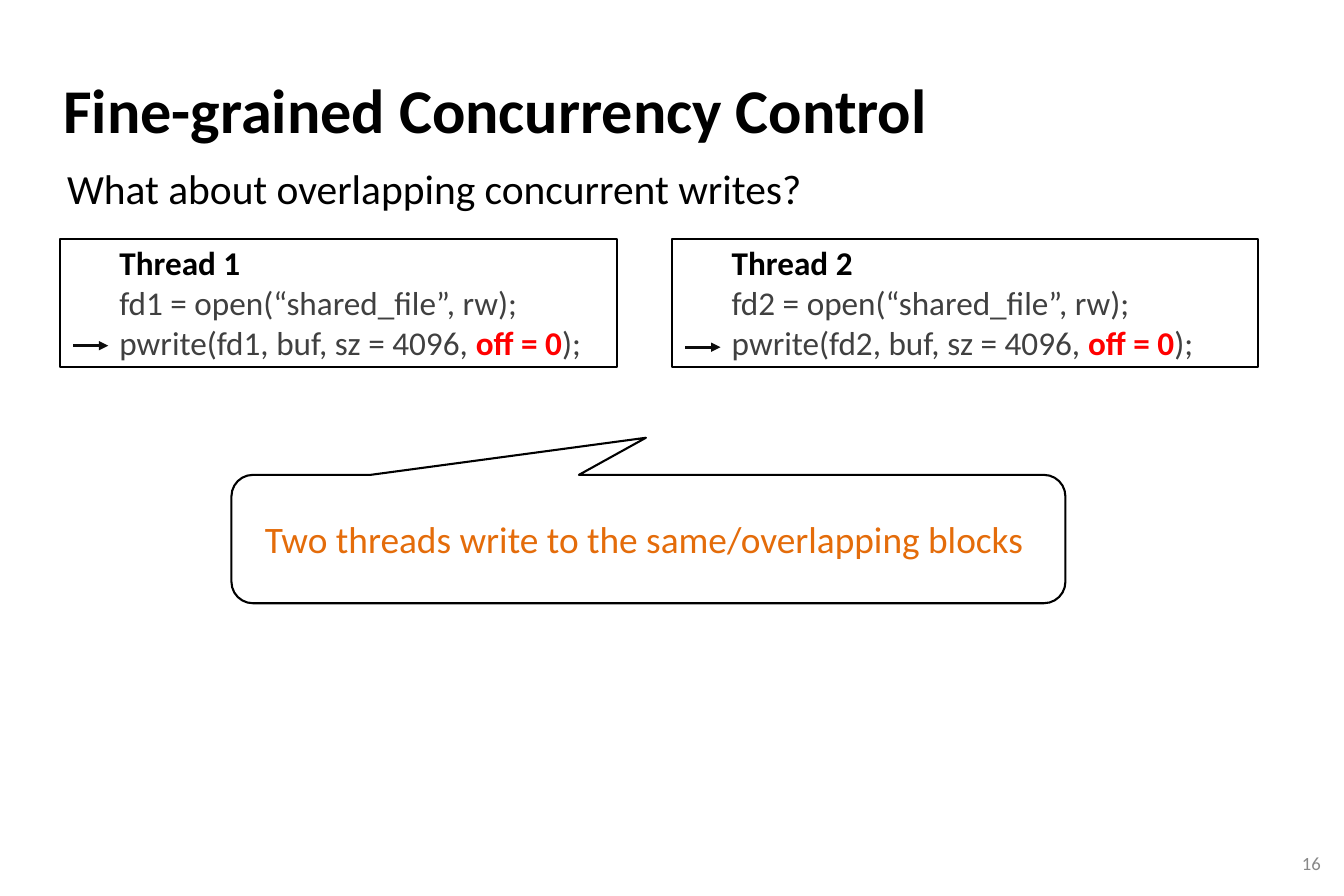
"""Build the slide on concurrency control for overlapping writes."""
from pptx import Presentation
from pptx.dml.color import RGBColor
from pptx.enum.shapes import MSO_CONNECTOR, MSO_SHAPE
from pptx.enum.text import MSO_ANCHOR, MSO_AUTO_SIZE, PP_ALIGN
from pptx.oxml.ns import qn
from pptx.util import Pt
from lxml import etree


def write(paragraph, pieces, size, alignment=PP_ALIGN.LEFT):
    paragraph.alignment = alignment
    for text, color, bold in pieces:
        run = paragraph.add_run()
        run.text = text
        run.font.name = "Calibri"
        run.font.size = Pt(size)
        run.font.bold = bold
        run.font.color.rgb = RGBColor.from_string(color)


def prepare(shape, anchor, left, top, right, bottom):
    frame = shape.text_frame
    frame.word_wrap = True
    frame.auto_size = MSO_AUTO_SIZE.NONE
    frame.vertical_anchor = anchor
    frame.margin_left, frame.margin_top = Pt(left), Pt(top)
    frame.margin_right, frame.margin_bottom = Pt(right), Pt(bottom)
    return frame


BLACK, GRAY, RED = "000000", "404040", "FF0000"

presentation = Presentation()
presentation.slide_width = Pt(1296)
presentation.slide_height = Pt(864)
slide = presentation.slides.add_slide(presentation.slide_layouts[5])

title = slide.shapes.title
title.left, title.top, title.width, title.height = Pt(57.6), Pt(35.3), Pt(1136.9), Pt(90.7)
frame = prepare(title, MSO_ANCHOR.TOP, 3.6, 3.6, 3.6, 3.6)
frame.paragraphs[0].line_spacing = 1.41
write(frame.paragraphs[0], [("Fine-grained Concurrency Control", BLACK, True)], 60)

page_number = slide.shapes.add_textbox(Pt(1247), Pt(817.2), Pt(31), Pt(30.2))
frame = prepare(page_number, MSO_ANCHOR.MIDDLE, 4.3, 4.3, 4.3, 4.3)
write(frame.paragraphs[0], [("16", "888888", False)], 18, PP_ALIGN.RIGHT)

question = slide.shapes.add_textbox(Pt(57.6), Pt(154.1), Pt(1156.3), Pt(55.4))
frame = prepare(question, MSO_ANCHOR.TOP, 7.2, 3.6, 7.2, 3.6)
write(frame.paragraphs[0], [("What about overlapping concurrent writes?", BLACK, False)], 40)

threads = [(1, 57.6, 537.8, 333.4), (2, 648, 565.2, 334.8)]
for number, left, width, arrow_y in threads:
    box = slide.shapes.add_shape(MSO_SHAPE.RECTANGLE, Pt(left), Pt(230.4), Pt(width), Pt(123.8))
    box.shadow.inherit = False
    box.fill.background()
    box.line.color.rgb = RGBColor.from_string(BLACK)
    box.line.width = Pt(2)
    frame = prepare(box, MSO_ANCHOR.TOP, 0, 3.6, 7.2, 3.6)
    lines = [
        [(f"Thread {number}", BLACK, True)],
        [(f"fd{number} = open(“shared_file”, rw);", GRAY, False)],
        [(f"pwrite(fd{number}, buf, sz = 4096, ", GRAY, False),
         ("off = 0", RED, True), (");", GRAY, False)],
    ]
    for index, pieces in enumerate(lines):
        paragraph = frame.add_paragraph() if index else frame.paragraphs[0]
        properties = paragraph._p.get_or_add_pPr()
        properties.set("marL", str(Pt(57.6)))
        properties.set("indent", "0")
        write(paragraph, pieces, 32)

    arrow = slide.shapes.add_connector(
        MSO_CONNECTOR.STRAIGHT, Pt(left + 13), Pt(arrow_y), Pt(left + 46.8), Pt(arrow_y))
    arrow.line.color.rgb = RGBColor.from_string("0D0D0D")
    arrow.line.width = Pt(3)
    etree.SubElement(arrow.line._get_or_add_ln(), qn("a:tailEnd"), type="triangle")
    etree.SubElement(arrow._element.spPr, qn("a:effectLst"))

callout = slide.shapes.add_shape(
    MSO_SHAPE.ROUNDED_RECTANGULAR_CALLOUT, Pt(223.2), Pt(457.9), Pt(804.2), Pt(123.8))
for index, value in enumerate((-0.003, -0.789, 0.167)):
    callout.adjustments[index] = value
callout.shadow.inherit = False
callout.fill.background()
callout.line.color.rgb = RGBColor.from_string(BLACK)
callout.line.width = Pt(2)
frame = prepare(callout, MSO_ANCHOR.MIDDLE, 7.2, 3.6, 7.2, 3.6)
message = "Two threads write to the same/overlapping blocks "
write(frame.paragraphs[0], [(message, "E46C0A", False)], 36, PP_ALIGN.CENTER)

presentation.save("out.pptx")
